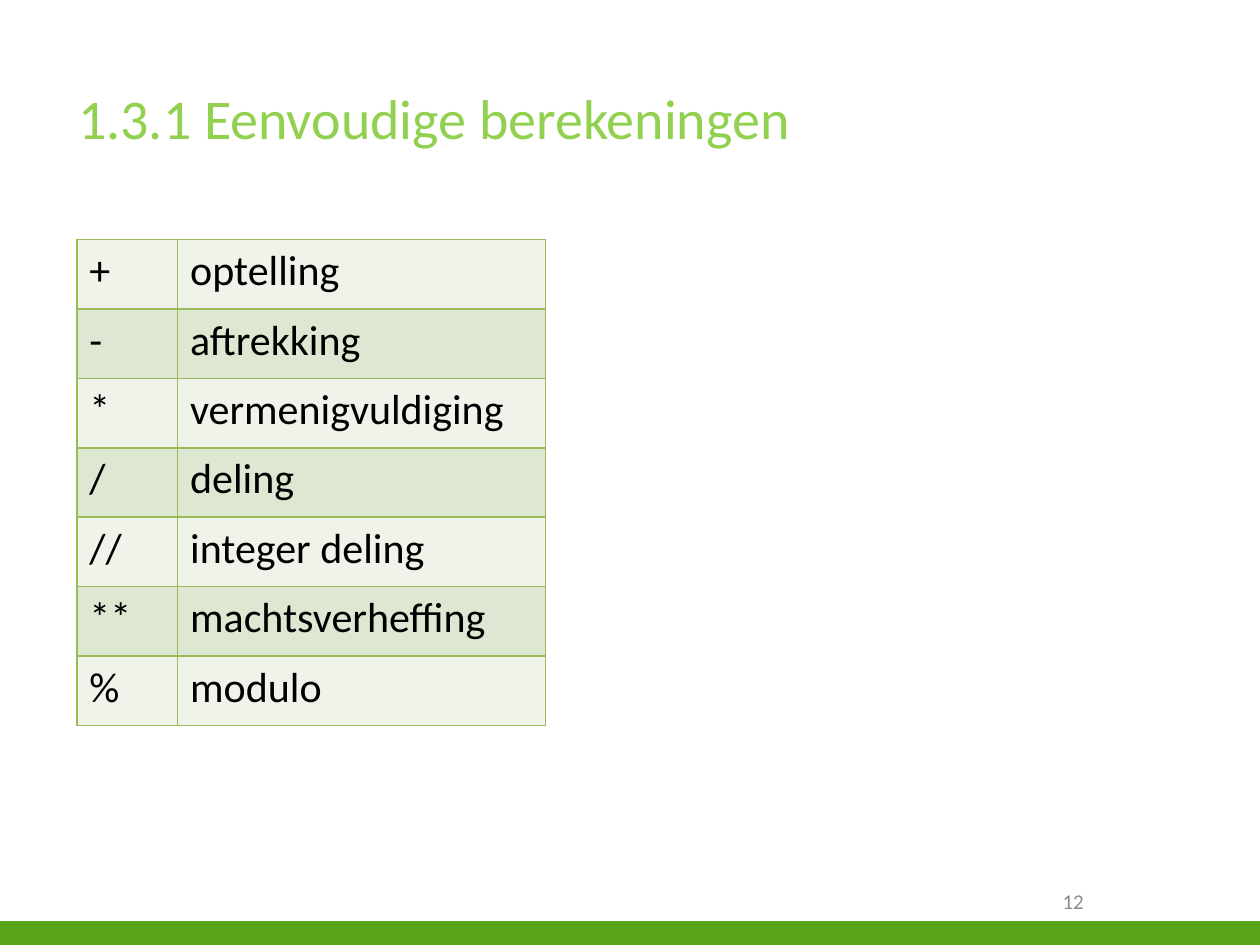
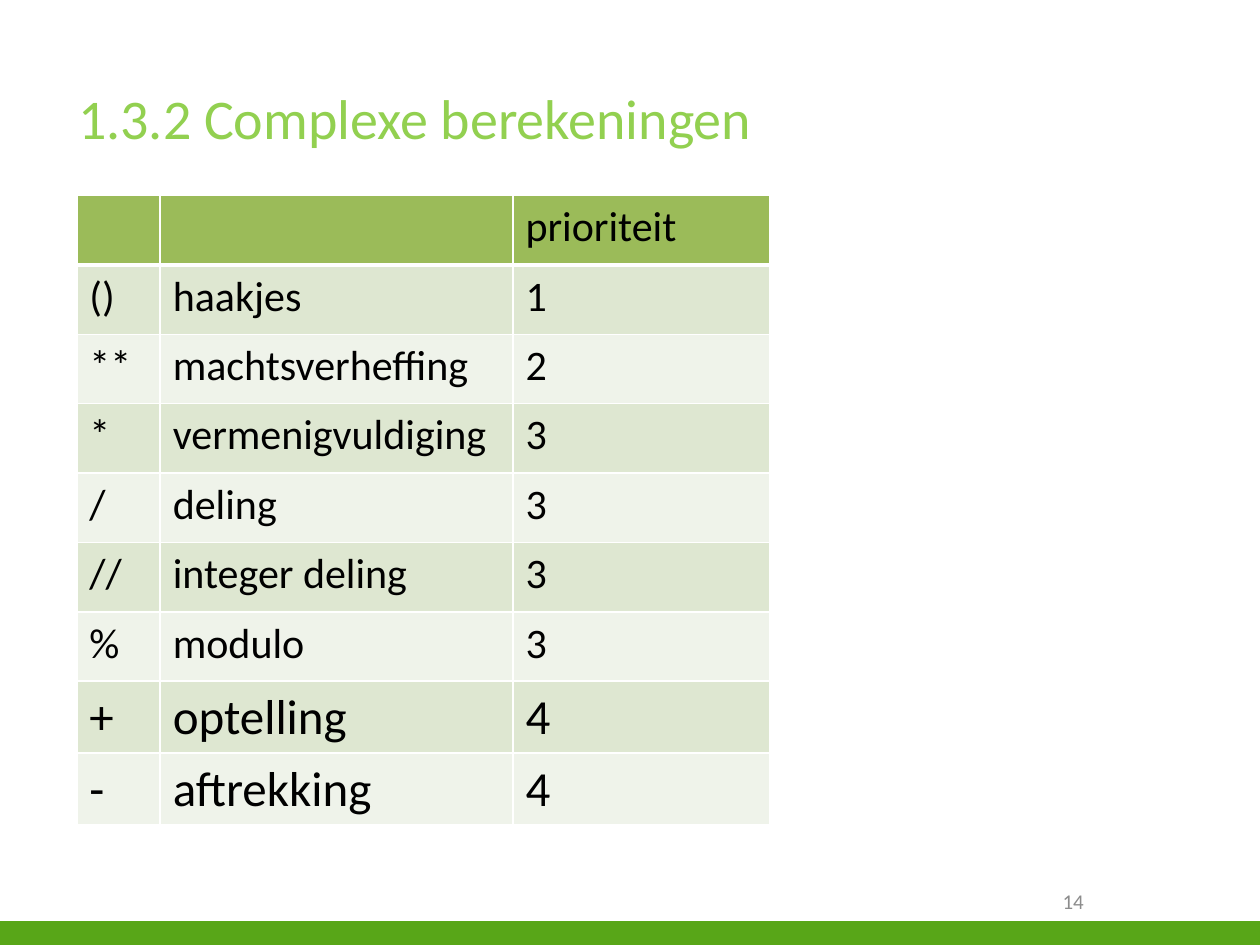
from dataclasses import dataclass

from lxml.etree import SubElement
from pptx import Presentation
from pptx.dml.color import RGBColor as RGB
from pptx.enum.shapes import MSO_SHAPE as Shape
from pptx.enum.text import MSO_ANCHOR as Anchor, PP_ALIGN as Align
from pptx.oxml.ns import qn
from pptx.util import Cm, Pt


@dataclass(frozen=True)
class Theme:
    font: str = "Calibri"
    band: str = "58A618"
    title: str = "92D050"
    number: str = "8C8C8C"
    text: str = "000000"
    header: str = "9BBB59"
    light_row: str = "EFF3EA"
    dark_row: str = "DEE7D1"
    white: str = "FFFFFF"
    title_size: int = 32
    number_size: int = 12
    cell_size: int = 24
    large_cell_size: int = 28


theme = Theme()


def add_span(para, text, size, color):
    span = para.add_run()
    span.text = text
    span.font.name = theme.font
    span.font.size = Pt(size)
    span.font.bold = False
    span.font.color.rgb = RGB.from_string(color)


def set_borders(cell, color, widths):
    """Draw the cell edges; widths maps L, R, T and B to points."""
    properties = cell._tc.get_or_add_tcPr()
    for side, width in widths.items():
        line = SubElement(properties, qn(f"a:ln{side}"), w=str(Pt(width)))
        fill = SubElement(line, qn("a:solidFill"))
        SubElement(fill, qn("a:srgbClr"), val=color)


operators = {
    "+": "optelling",
    "-": "aftrekking",
    "*": "vermenigvuldiging",
    "/": "deling",
    "//": "integer deling",
    "**": "machtsverheffing",
    "%": "modulo",
}
priorities = {"**": 2, "*": 3, "/": 3, "//": 3, "%": 3, "+": 4, "-": 4}

pages = [
    {
        "title": "1.3.1 Eenvoudige berekeningen",
        "number": "12",
        "top": 4.83,
        "columns": [2.03, 7.42],
        "rows": list(operators.items()),
        "has_header": False,
        "border": theme.header,
        "large_rows": 0,
    },
    {
        "title": "1.3.2 Complexe berekeningen",
        "number": "14",
        "top": 3.94,
        "columns": [1.68, 7.11, 5.18],
        "rows": [("", "", "prioriteit"), ("()", "haakjes", "1")]
        + [(sign, operators[sign], str(rank)) for sign, rank in priorities.items()],
        "has_header": True,
        "border": theme.white,
        "large_rows": 2,
    },
]

deck = Presentation()
deck.slide_width, deck.slide_height = Cm(25.4), Cm(19.05)
title_only = deck.slide_layouts[5]

for content in pages:
    page = deck.slides.add_slide(title_only)

    band = page.shapes.add_shape(Shape.RECTANGLE, 0, Cm(18.57), deck.slide_width, Cm(0.5))
    band.shadow.inherit = False
    band.fill.solid()
    band.fill.fore_color.rgb = RGB.from_string(theme.band)
    band.line.fill.background()

    number_box = page.shapes.add_textbox(Cm(18.21), Cm(17.65), Cm(3.89), Cm(1.02))
    number_box.text_frame.word_wrap = True
    number_box.text_frame.vertical_anchor = Anchor.MIDDLE
    para = number_box.text_frame.paragraphs[0]
    para.alignment = Align.RIGHT
    add_span(para, content["number"], theme.number_size, theme.number)

    title = page.shapes.title
    title.left, title.top, title.width, title.height = Cm(1.32), Cm(1.55), Cm(22.81), Cm(2.39)
    title.text_frame.vertical_anchor = Anchor.TOP
    para = title.text_frame.paragraphs[0]
    para.alignment = Align.LEFT
    add_span(para, content["title"], theme.title_size, theme.title)

    rows, columns = content["rows"], content["columns"]
    has_header = content["has_header"]
    first_large = len(rows) - content["large_rows"]
    table = page.shapes.add_table(
        len(rows), len(columns), Cm(1.55), Cm(content["top"]),
        Cm(sum(columns)), Cm(1.4 * len(rows)),
    ).table
    table.first_row = has_header
    for column, width in zip(table.columns, columns):
        column.width = Cm(width)

    for index, texts in enumerate(rows):
        is_large = index >= first_large
        table.rows[index].height = Cm(1.45 if is_large else 1.4)
        size = theme.large_cell_size if is_large else theme.cell_size
        fill = theme.dark_row if index % 2 else theme.light_row
        widths = {"L": 1, "R": 1, "T": 1, "B": 1}
        if has_header and index == 0:
            fill = theme.header
            widths["B"] = 3
        elif has_header and index == 1:
            widths["T"] = 3
        for cell, text in zip(table.rows[index].cells, texts):
            set_borders(cell, content["border"], widths)
            cell.fill.solid()
            cell.fill.fore_color.rgb = RGB.from_string(fill)
            if text:
                add_span(cell.text_frame.paragraphs[0], text, size, theme.text)

deck.save("out.pptx")
